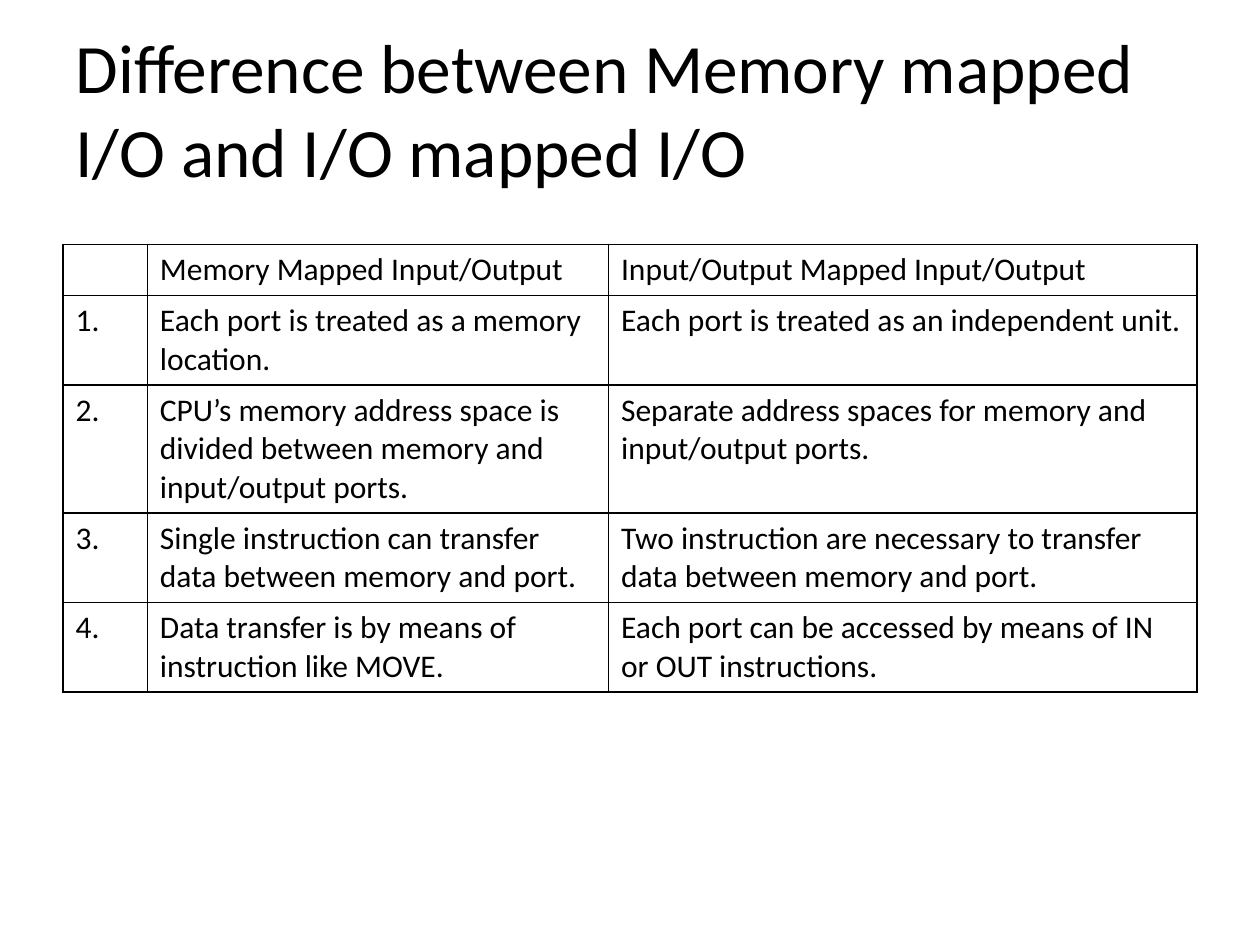
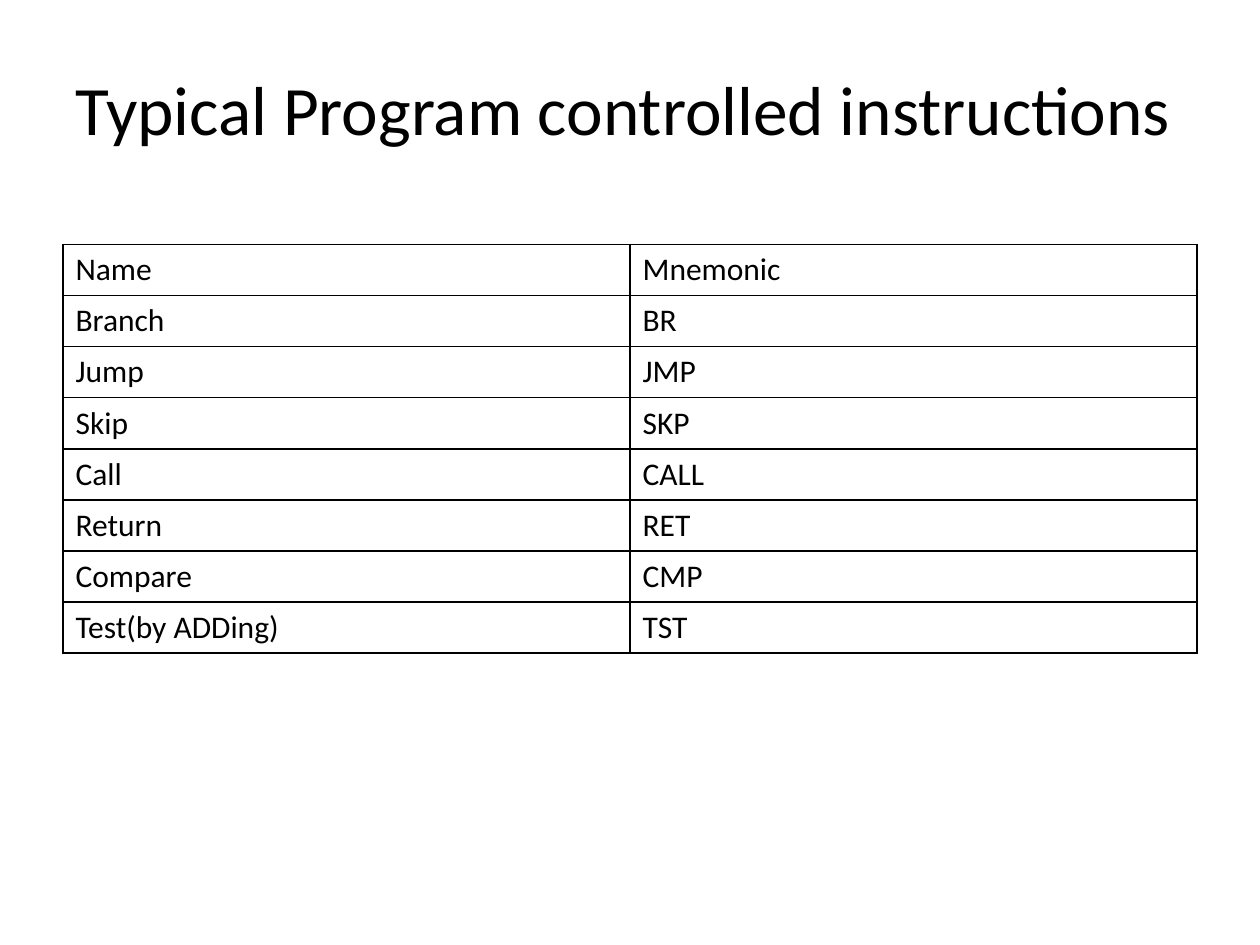
from lxml import etree
from pptx import Presentation
from pptx.dml.color import RGBColor
from pptx.enum.text import MSO_ANCHOR, MSO_AUTO_SIZE, PP_ALIGN
from pptx.oxml.ns import qn
from pptx.util import Inches, Pt

MIDDLE = MSO_ANCHOR.MIDDLE
NO_FIT = MSO_AUTO_SIZE.NONE
LEFT = PP_ALIGN.LEFT

COLORS = {"text": "000000", "border": "000000", "background": "FFFFFF"}
FONT = "Calibri"
TITLE_ONLY = 5
MARGIN, CONTENT_W = Inches(0.5), Inches(9)
ROW_H = Inches(3.24) // 8

IO_ROWS = [
    ("", "Memory Mapped Input/Output", "Input/Output Mapped Input/Output"),
    ("1.", "Each port is treated as a memory location.",
     "Each port is treated as an independent unit."),
    ("2.", "CPU’s memory address space is divided between memory and "
     "input/output ports.",
     "Separate address spaces for memory and input/output ports."),
    ("3.", "Single instruction can transfer data between memory and port.",
     "Two instruction are necessary to transfer data between memory and port."),
    ("4.", "Data transfer is by means of instruction like MOVE.",
     "Each port can be accessed by means of IN or OUT instructions."),
]

INSTRUCTION_ROWS = [
    ("Name", "Mnemonic"),
    ("Branch", "BR"),
    ("Jump", "JMP"),
    ("Skip", "SKP"),
    ("Call", "CALL"),
    ("Return", "RET"),
    ("Compare", "CMP"),
    ("Test(by ADDing)", "TST"),
]


class Deck:
    def __init__(self):
        self.prs = Presentation()
        self.prs.slide_width, self.prs.slide_height = Inches(10), Inches(7.5)
        self.s = None

    def slide(self, title):
        self.s = self.prs.slides.add_slide(self.prs.slide_layouts[TITLE_ONLY])
        fill = self.s.background.fill
        fill.solid()
        fill.fore_color.rgb = RGBColor.from_string(COLORS["background"])
        self.title(title)

    def run(self, p, text, size):
        r = p.add_run()
        r.text = text
        r.font.name, r.font.size = FONT, Pt(size)
        r.font.color.rgb = RGBColor.from_string(COLORS["text"])

    def title(self, text):
        sp = self.s.shapes.title
        sp.left, sp.top = MARGIN, Inches(0.17)
        sp.width, sp.height = CONTENT_W, Inches(1.37)
        tf = sp.text_frame
        tf.auto_size, tf.word_wrap, tf.vertical_anchor = NO_FIT, True, MIDDLE
        tf.margin_left = Inches(0.1)
        tf.margin_right = tf.margin_top = tf.margin_bottom = Inches(0.05)
        p = tf.paragraphs[0]
        p.alignment = LEFT
        self.run(p, text, 39.6)

    def borders(self, cell):
        # Border lines come before the fill in the cell properties
        tc_pr = cell._tc.get_or_add_tcPr()
        for i, side in enumerate(("lnL", "lnR", "lnT", "lnB")):
            ln = etree.Element(qn(f"a:{side}"), w=str(Pt(1)))
            fill = etree.SubElement(ln, qn("a:solidFill"))
            etree.SubElement(fill, qn("a:srgbClr"), val=COLORS["border"])
            tc_pr.insert(i, ln)

    def table(self, rows, widths):
        table = self.s.shapes.add_table(
            len(rows), len(widths), MARGIN, Inches(1.94),
            CONTENT_W, ROW_H * len(rows)).table
        table.first_row = table.horz_banding = False
        for column, width in zip(table.columns, widths):
            column.width = Inches(width)
        for row, texts in zip(table.rows, rows):
            row.height = ROW_H
            for cell, text in zip(row.cells, texts):
                cell.margin_left = cell.margin_right = Inches(0.1)
                cell.margin_top = cell.margin_bottom = Inches(0.05)
                cell.fill.background()
                self.borders(cell)
                if text:
                    self.run(cell.text_frame.paragraphs[0], text, 18)


def main():
    deck = Deck()

    # Memory mapped against I/O mapped
    deck.slide("Difference between Memory mapped I/O and I/O mapped I/O")
    deck.table(IO_ROWS, (0.67, 3.66, 4.67))

    # Program control instructions
    deck.slide("Typical Program controlled instructions")
    deck.table(INSTRUCTION_ROWS, (4.5, 4.5))

    deck.prs.save("out.pptx")


if __name__ == "__main__":
    main()
